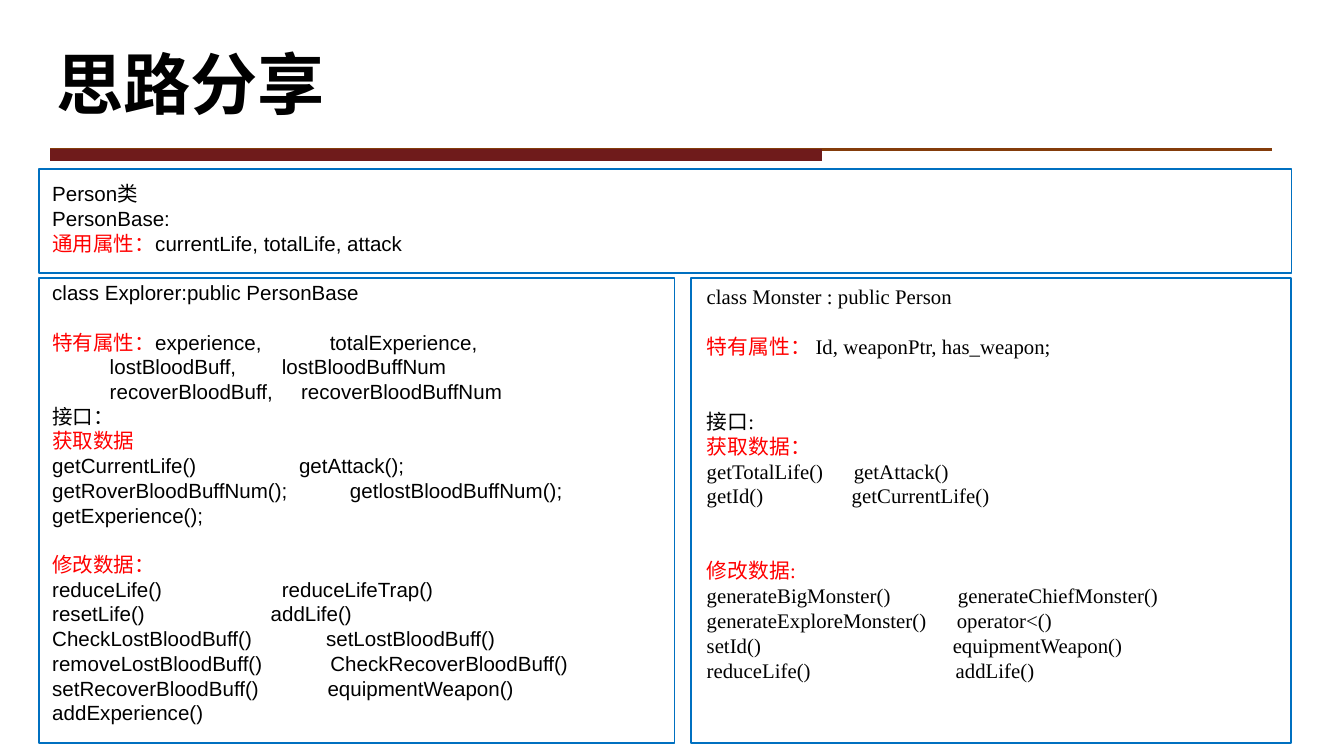
from lxml.etree import SubElement
from pptx import Presentation
from pptx.dml.color import RGBColor
from pptx.enum.shapes import MSO_CONNECTOR as Connector, MSO_SHAPE as Shape
from pptx.enum.text import MSO_ANCHOR as Anchor
from pptx.oxml.ns import qn
from pptx.util import Pt

THEME = {
    "ink": "000000", "label": "FF0000", "frame": "0070C0",
    "thin_rule": "843C0B", "thick_rule": "6F1B1B",
    "cjk": "Noto Sans CJK SC", "title_size": 36,
}

TITLE = "思路分享"

# Each line: label, text, blank lines before it, tab stops in points
EXPLORER = [
    ("", "Person类", 0, ()),
    ("", "PersonBase:", 0, ()),
    ("通用属性：", "currentLife, totalLife, attack", 0, ()),
    ("", "class Explorer:public PersonBase", 1, ()),
    ("特有属性：", "experience,\ttotalExperience,", 1, (148.7,)),
    ("", "\tlostBloodBuff,\tlostBloodBuffNum", 0, (30.8, 123)),
    ("", "\trecoverBloodBuff,\trecoverBloodBuffNum", 0, (30.8, 133.3)),
    ("", "接口：", 0, ()),
    ("获取数据", "", 0, ()),
    ("", "getCurrentLife()\tgetAttack();", 0, (132.2,)),
    ("", "getRoverBloodBuffNum();\tgetlostBloodBuffNum();", 0, (159.5,)),
    ("", "getExperience();", 0, ()),
    ("修改数据：", "", 1, ()),
    ("", "reduceLife()\treduceLifeTrap()", 0, (123,)),
    ("", "resetLife()\taddLife()", 0, (117,)),
    ("", "CheckLostBloodBuff()\tsetLostBloodBuff()", 0, (146.7,)),
    ("", "removeLostBloodBuff()\tCheckRecoverBloodBuff()", 0, (149,)),
    ("", "setRecoverBloodBuff()\tequipmentWeapon()", 0, (147.5,)),
    ("", "addExperience()", 0, ()),
]
MONSTER = [
    ("", "class Monster : public Person", 0, ()),
    ("特有属性： ", "Id, weaponPtr, has_weapon;", 1, ()),
    ("", "接口:", 2, ()),
    ("获取数据：", "", 0, ()),
    ("", "getTotalLife()\tgetAttack()", 0, (78.8,)),
    ("", "getId()\tgetCurrentLife()", 0, (77.7,)),
    ("修改数据:", "", 2, ()),
    ("", "generateBigMonster()\tgenerateChiefMonster()", 0, (134.6,)),
    ("", "generateExploreMonster()\toperator<()", 0, (134,)),
    ("", "setId()\tequipmentWeapon()", 0, (131.8,)),
    ("", "reduceLife()\taddLife()", 0, (133.4,)),
]

# Left, top, width, height; then font, size, line pitch
COLUMNS = [
    (EXPLORER, (20.9, 93.6, 325.4, 304.6), "Arial", 11, 13.25),
    (MONSTER, (371.5, 148.5, 295.9, 234), "Times New Roman", 11.1, 13.35),
]

FRAME_LEFT, FRAME_RIGHT = 20.9, 691.9
FRAMES = [
    (FRAME_LEFT, 90.7, FRAME_RIGHT, 146.2),
    (FRAME_LEFT, 149, 361.4, 398.2),
    (370.1, 149, FRAME_RIGHT, 398.2),
]

# Left, right, height on the slide, colour, width
RULES = [
    (26.8, 681.2, 80.1, "thin_rule", 1.5),
    (26.8, 440.4, 83.1, "thick_rule", 6),
]


def color(name):
    return RGBColor.from_string(THEME[name])


def add_rule(slide, left, right, top, tone, width):
    rule = slide.shapes.add_connector(
        Connector.STRAIGHT, Pt(left), Pt(top), Pt(right), Pt(top))
    rule.line.color.rgb = color(tone)
    rule.line.width = Pt(width)
    SubElement(rule._element.spPr, qn("a:effectLst"))


def add_frame(slide, left, top, right, bottom):
    frame = slide.shapes.add_shape(
        Shape.RECTANGLE, Pt(left), Pt(top), Pt(right - left), Pt(bottom - top))
    frame.shadow.inherit = False
    frame.fill.background()
    frame.line.color.rgb = color("frame")
    frame.line.width = Pt(1)


def add_text_frame(slide, area):
    box = slide.shapes.add_textbox(*(Pt(length) for length in area))
    box.text_frame.word_wrap = True
    return box.text_frame


def set_font(para, name, size):
    """Set the Latin font and size, and the shared font for Chinese."""
    para.font.name = name
    para.font.size = Pt(size)
    defaults = para._p.get_or_add_pPr().find(qn("a:defRPr"))
    SubElement(defaults, qn("a:ea"), typeface=THEME["cjk"])


def add_tabs(para, stops):
    tabs = SubElement(para._p.get_or_add_pPr(), qn("a:tabLst"))
    for stop in stops:
        SubElement(tabs, qn("a:tab"), pos=str(int(Pt(stop))), algn="l")


def add_span(para, text, tone):
    span = para.add_run()
    span.text = text
    span.font.color.rgb = color(tone)


def add_title(slide):
    frame = add_text_frame(slide, (23, 8.6, 648, 77))
    frame.vertical_anchor = Anchor.MIDDLE
    para = frame.paragraphs[0]
    para.line_spacing = 0.9
    set_font(para, THEME["cjk"], THEME["title_size"])
    para.font.bold = True
    add_span(para, TITLE, "ink")


def add_column(slide, lines, area, font, size, pitch):
    frame = add_text_frame(slide, area)
    for index, (label, text, blanks, stops) in enumerate(lines):
        para = frame.add_paragraph() if index else frame.paragraphs[0]
        para.line_spacing = Pt(pitch)
        para.space_before = Pt(blanks * pitch)
        if stops:
            add_tabs(para, stops)
        set_font(para, font, size)
        for content, tone in ((label, "label"), (text, "ink")):
            if content:
                add_span(para, content, tone)


def main():
    deck = Presentation()
    deck.slide_width, deck.slide_height = Pt(720), Pt(405)
    slide = deck.slides.add_slide(deck.slide_layouts[6])
    for rule in RULES:
        add_rule(slide, *rule)
    add_title(slide)
    for column in COLUMNS:
        add_column(slide, *column)
    for frame in FRAMES:
        add_frame(slide, *frame)
    deck.save("out.pptx")


if __name__ == "__main__":
    main()
